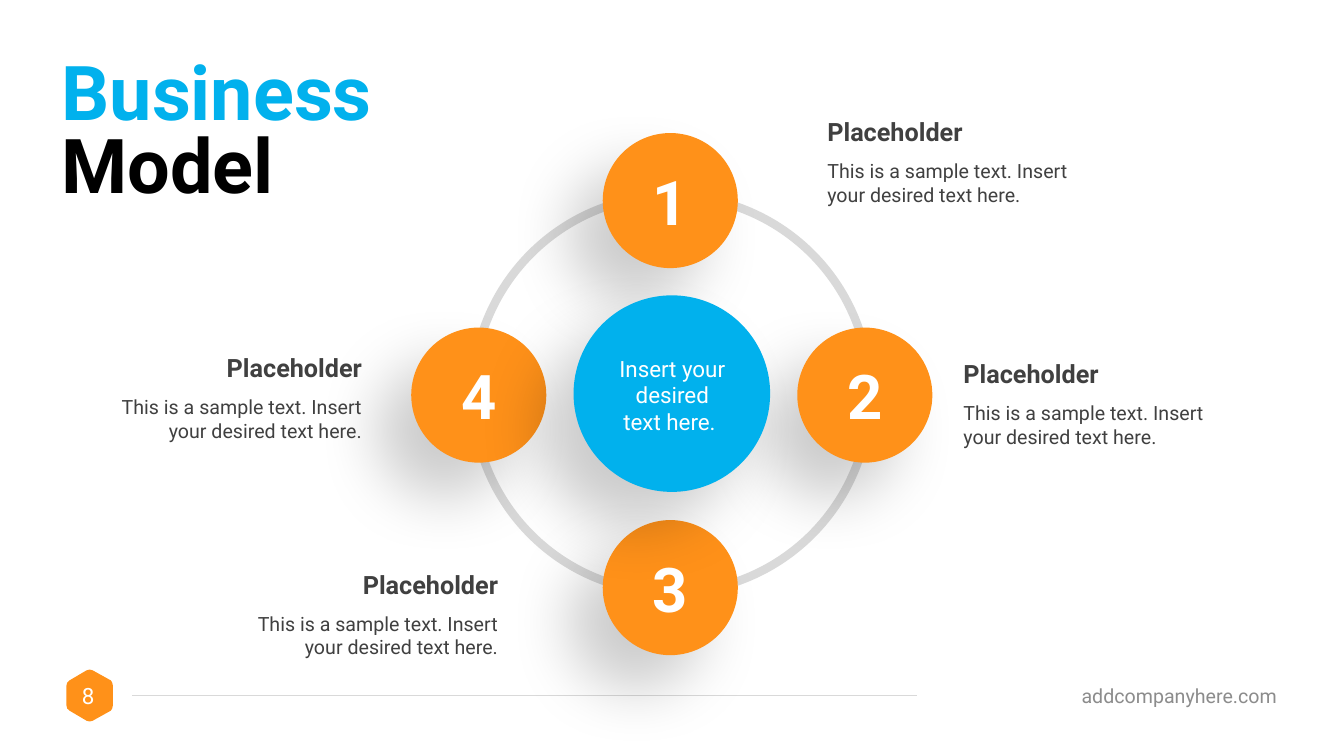
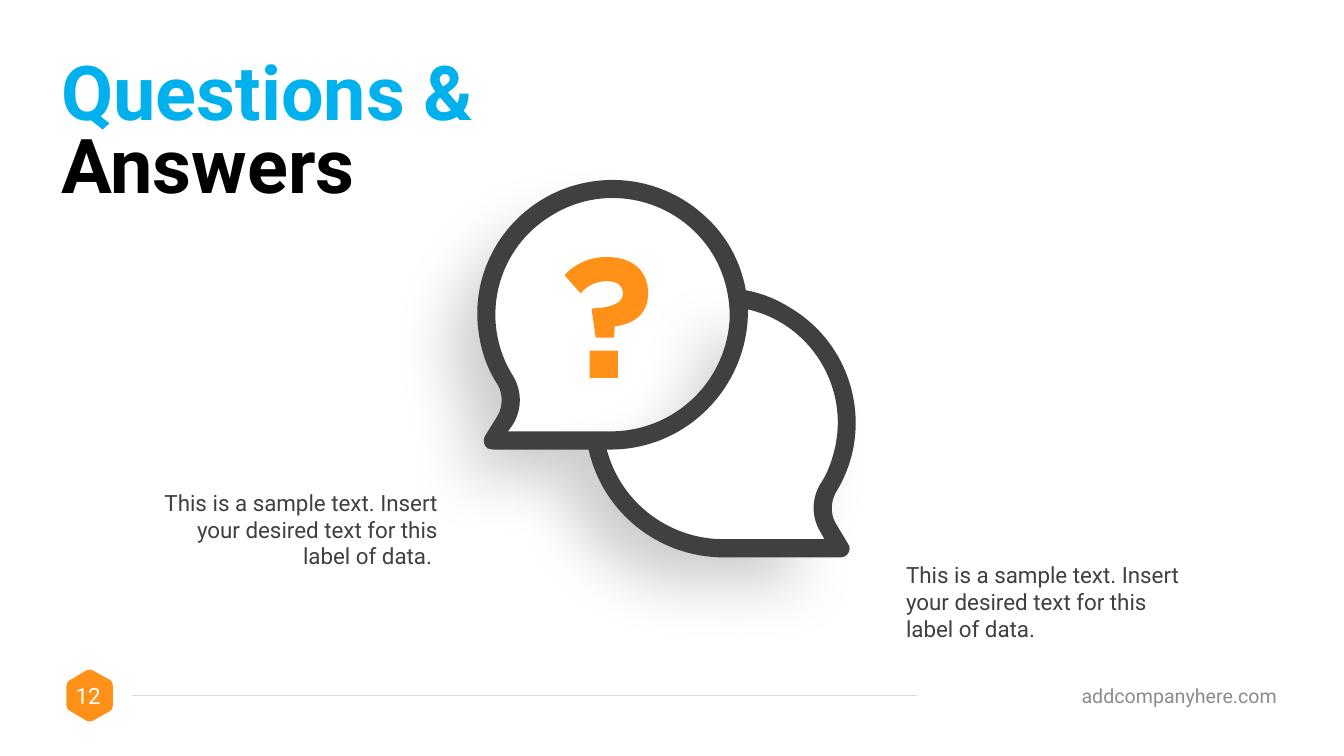
"""Build two slides of a business deck: a circular model and a question page."""
from dataclasses import dataclass

from lxml.etree import SubElement
from pptx import Presentation
from pptx.dml.color import RGBColor
from pptx.enum.shapes import MSO_CONNECTOR, MSO_SHAPE
from pptx.enum.text import MSO_ANCHOR, MSO_AUTO_SIZE, PP_ALIGN
from pptx.oxml.ns import qn
from pptx.presentation import Presentation as Deck
from pptx.shapes.base import BaseShape
from pptx.slide import Slide
from pptx.text.text import TextFrame
from pptx.util import Emu, Pt

PX = 9144
FONT = "Roboto"
BLUE, ORANGE, WHITE, BLACK = "01B1ED", "FF9119", "FFFFFF", "000000"
DARK, GRAY, PALE = "404040", "8C8C8C", "D9D9D9"
LEFT, CENTER, RIGHT = PP_ALIGN.LEFT, PP_ALIGN.CENTER, PP_ALIGN.RIGHT

SAMPLE = "This is a sample text. Insert your desired text "

BADGE = ["66 680, 66 678 67 676 69 675, 86 665, 88 664 90 664 92 665,"
         "110 675, 111 676 112 678 112 680, 112 700, 112 702 111 704 110 705,"
         "92 715, 90 716 88 716 86 715, 69 705, 67 704 66 702 66 700"]
FRONT_BUBBLE = ["501 378, 465 319 483 242 542 206, 601 170 678 188 714 247,"
                "727 267 733 291 733 314, 730 383 674 438 604 437, 489 437,"
                "501 417, 508 405 508 390 501 378"]
BACK_BUBBLE = ["821 485, 858 426 839 349 780 313, 765 304 749 298 732 296,"
               "732 302 733 308 733 314, 730 383 673 438 604 437, 591 437,"
               "601 499 655 544 718 544, 834 544, 821 523, 814 512 814 497 821 485"]
BUBBLE_LINES = [
    "829 519, 824 510 824 499 829 489, 868 427 848 344 785 306,"
    "771 297 756 291 740 288, 735 260 721 234 700 215, 672 189 635 176 597 179,"
    "523 185 468 249 474 322, 476 344 482 364 494 382, 499 391 499 403 494 412,"
    "481 433, 479 437 480 442 484 445, 486 446 487 446 489 446, 584 446,"
    "598 509 654 553 718 553, 834 553, 839 553 843 549 843 544, 843 542 842 541 841 539",
    "504 428, 509 421, 518 406 518 388 509 373, 475 319 492 247 547 214,"
    "601 180 673 197 707 252, 718 270 724 292 724 314, 722 378 669 429 604 428",
    "718 535, 664 535 616 499 602 446, 604 446, 678 447 739 388 742 314,"
    "742 312 742 309 742 307, 804 321 843 384 828 446, 825 458 821 470 814 480,"
    "805 495 805 513 814 528, 818 535",
]
QUESTION_HOOK = ["618 291, 618 300 609 305 588 306, 587 307, 591 335, 609 335, 610 324,"
                 "629 321 643 312 643 291, 643 268 627 255 602 255, 586 255 571 261 560 273,"
                 "576 291, 583 283 592 279 602 279, 612 279 618 283 618 291"]


@dataclass(frozen=True)
class Box:
    """A rectangle in px."""
    left: int
    top: int
    width: int
    height: int

    def emu(self) -> list[Emu]:
        """Return left, top, width and height in EMU."""
        return [Emu(value * PX) for value in (self.left, self.top, self.width, self.height)]


@dataclass(frozen=True)
class Style:
    """The look of a paragraph."""
    size: int
    color: str
    align: PP_ALIGN = LEFT
    bold: bool = False


@dataclass(frozen=True)
class Node:
    """A numbered circle on the ring and the place of its label."""
    number: str
    left: int
    top: int
    label_left: int
    label_top: int
    align: PP_ALIGN


NODES = [
    Node("4", 408, 325, 99, 345, RIGHT),
    Node("2", 791, 325, 946, 351, LEFT),
    Node("1", 598, 132, 811, 111, LEFT),
    Node("3", 598, 516, 234, 560, RIGHT),
]


def rgb(value: str) -> RGBColor:
    """Turn a hex string into a colour."""
    return RGBColor.from_string(value)


def paint(shape: BaseShape, fill: str, shadow: bool = False) -> None:
    """Fill a shape without outline, optionally with the soft shadow."""
    shape.fill.solid()
    shape.fill.fore_color.rgb = rgb(fill)
    shape.line.fill.background()
    shape.shadow.inherit = False
    if shadow:
        effects = shape.element.spPr.find(qn("a:effectLst"))
        outer = SubElement(effects, qn("a:outerShdw"), blurRad=str(Pt(45)), dist=str(Pt(35)),
                           dir=str(135 * 60000), algn="tr", rotWithShape="0")
        tint = SubElement(outer, qn("a:srgbClr"), val=BLACK)
        SubElement(tint, qn("a:alpha"), val="20000")


def write(frame: TextFrame, text: str, style: Style) -> None:
    """Write one styled paragraph into a text frame."""
    frame.word_wrap = True
    paragraph = frame.paragraphs[0]
    paragraph.alignment = style.align
    paragraph.font.name = FONT
    paragraph.font.size = Pt(style.size)
    paragraph.font.bold = style.bold
    paragraph.font.color.rgb = rgb(style.color)
    run = paragraph.add_run()
    run.text = text
    run.font.color.rgb = rgb(style.color)


def add_text(slide: Slide, box: Box, text: str, style: Style) -> TextFrame:
    """Add a text box and return its frame."""
    frame = slide.shapes.add_textbox(*box.emu()).text_frame
    write(frame, text, style)
    return frame


def add_footer_text(slide: Slide, box: Box, text: str, style: Style) -> None:
    """Add a vertically centred text without side insets."""
    frame = add_text(slide, box, text, style)
    frame.margin_left = frame.margin_right = 0
    frame.margin_top = frame.margin_bottom = Emu(7 * PX)
    frame.vertical_anchor = MSO_ANCHOR.MIDDLE


def add_circle(slide: Slide, left: int, top: int, diameter: int, fill: str,
               shadow: bool = True) -> BaseShape:
    """Add a circle that centres its text."""
    box = Box(left, top, diameter, diameter)
    circle = slide.shapes.add_shape(MSO_SHAPE.OVAL, *box.emu())
    paint(circle, fill, shadow)
    circle.text_frame.vertical_anchor = MSO_ANCHOR.MIDDLE
    return circle


def read_segments(contour: str) -> list[list[tuple[int, int]]]:
    """Split a contour into segments of one point (line) or three points (curve)."""
    segments = []
    for segment in contour.split(","):
        values = [int(value) for value in segment.split()]
        segments.append(list(zip(values[::2], values[1::2])))
    return segments


def add_outline(slide: Slide, contours: list[str], fill: str, shadow: bool = False) -> BaseShape:
    """Add one filled freeform made of closed contours with true curves."""
    outlines = [read_segments(contour) for contour in contours]
    builder = slide.shapes.build_freeform(*outlines[0][0][0], scale=PX)
    for index, (start, *segments) in enumerate(outlines):
        if index:
            builder.move_to(*start[0])
        builder.add_line_segments([point for segment in segments for point in segment], close=True)
    shape = builder.convert_to_shape()
    drawing = next(shape.element.iter(qn("a:path")))
    lines = iter(drawing.findall(qn("a:lnTo")))
    for _, *segments in outlines:
        for segment in segments:
            piece = next(lines)
            if len(segment) == 3:
                piece.tag = qn("a:cubicBezTo")
                for _ in range(2):
                    extra = next(lines)
                    piece.append(extra[0])
                    drawing.remove(extra)
    paint(shape, fill, shadow)
    return shape


def share_footer(slide: Slide) -> None:
    """Draw the badge and the rule, then move them to the layout of the slide."""
    badge = add_outline(slide, BADGE, ORANGE)
    ends = [Emu(value * PX) for value in (131, 690, 910, 690)]
    rule = slide.shapes.add_connector(MSO_CONNECTOR.STRAIGHT, *ends)
    rule.line.color.rgb = rgb(PALE)
    rule.line.width = Pt(0.75)
    SubElement(rule.element.spPr, qn("a:effectLst"))
    for number, shape in enumerate((badge, rule), start=101):
        next(shape.element.iter(qn("p:cNvPr"))).set("id", str(number))
        slide.slide_layout.shapes.element.append(shape.element)


def add_base_slide(presentation: Deck, number: str, accent: str, rest: str,
                   broken: bool = False) -> Slide:
    """Add a slide with the two-colour title, web address and page number."""
    slide = presentation.slides.add_slide(presentation.slide_layouts[5])
    title = slide.shapes.title
    title.left, title.top, title.width, title.height = Box(61, 62, 571, 153).emu()
    frame = title.text_frame
    frame.auto_size = MSO_AUTO_SIZE.NONE
    frame.vertical_anchor = MSO_ANCHOR.TOP
    frame.margin_left = frame.margin_right = frame.margin_top = frame.margin_bottom = 0
    write(frame, accent, Style(54, BLUE, bold=True))
    paragraph = frame.paragraphs[0]
    paragraph.line_spacing = 0.8
    if broken:
        paragraph.add_line_break()
    run = paragraph.add_run()
    run.text = rest
    run.font.color.rgb = rgb(BLACK)
    add_footer_text(slide, Box(920, 670, 347, 40), "addcompanyhere.com", Style(14, GRAY, RIGHT))
    add_footer_text(slide, Box(67, 670, 41, 40), number, Style(16, WHITE, CENTER))
    return slide


def draw_model(slide: Slide) -> None:
    """Draw the ring of four numbered circles around a hub."""
    ring = add_circle(slide, 469, 194, 394, WHITE, shadow=False)
    ring.line.color.rgb = rgb(PALE)
    ring.line.width = Pt(6)
    for node in NODES:
        circle = add_circle(slide, node.left, node.top, 134, ORANGE)
        write(circle.text_frame, node.number, Style(44, WHITE, CENTER, True))
    add_circle(slide, 569, 293, 195, BLUE)
    add_text(slide, Box(602, 347, 130, 91), "Insert your desired text here. ",
             Style(16, WHITE, CENTER))
    for node in NODES:
        add_text(slide, Box(node.label_left, node.label_top, 270, 40), "Placeholder",
                 Style(18, DARK, node.align, True))
        add_text(slide, Box(node.label_left, node.label_top + 42, 270, 62), SAMPLE + "here.",
                 Style(14, DARK, node.align))


def draw_questions(slide: Slide) -> None:
    """Draw the two speech bubbles with their captions."""
    add_outline(slide, FRONT_BUBBLE, WHITE, shadow=True)
    add_outline(slide, BACK_BUBBLE, WHITE, shadow=True)
    add_outline(slide, BUBBLE_LINES, DARK)
    add_outline(slide, QUESTION_HOOK, ORANGE)
    dot = slide.shapes.add_shape(MSO_SHAPE.RECTANGLE, *Box(585, 348, 28, 27).emu())
    paint(dot, ORANGE)
    caption = SAMPLE + "for this label of data."
    add_text(slide, Box(145, 480, 299, 91), caption + " ", Style(16, DARK, RIGHT))
    add_text(slide, Box(889, 552, 299, 91), caption, Style(16, DARK))


def main() -> None:
    """Build and save the presentation."""
    presentation = Presentation()
    presentation.slide_width = Emu(12_192_000)
    presentation.slide_height = Emu(750 * PX)
    model = add_base_slide(presentation, "8", "Business", "Model", broken=True)
    share_footer(model)
    draw_model(model)
    draw_questions(add_base_slide(presentation, "12", "Questions & ", "Answers"))
    presentation.save("out.pptx")


if __name__ == "__main__":
    main()
